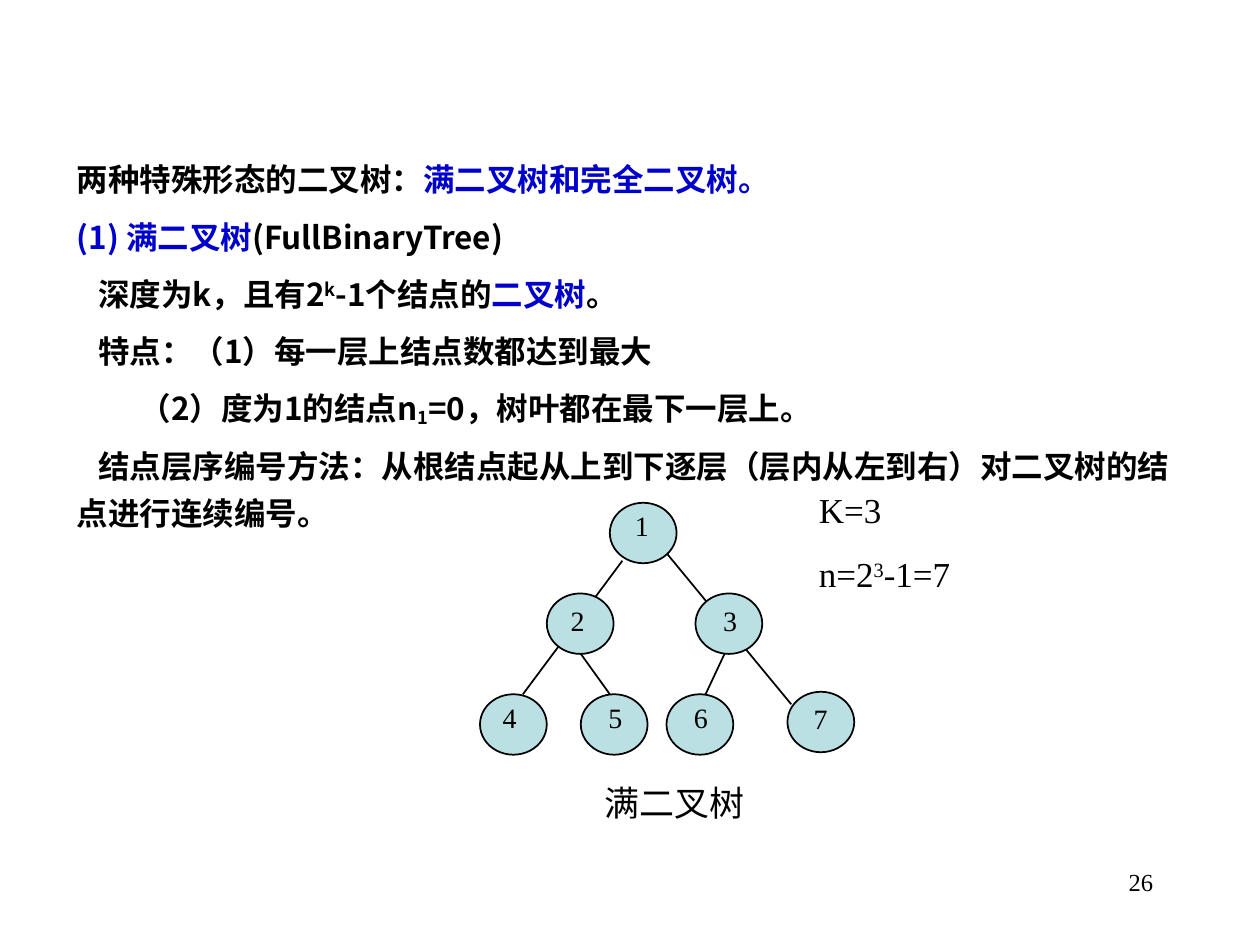
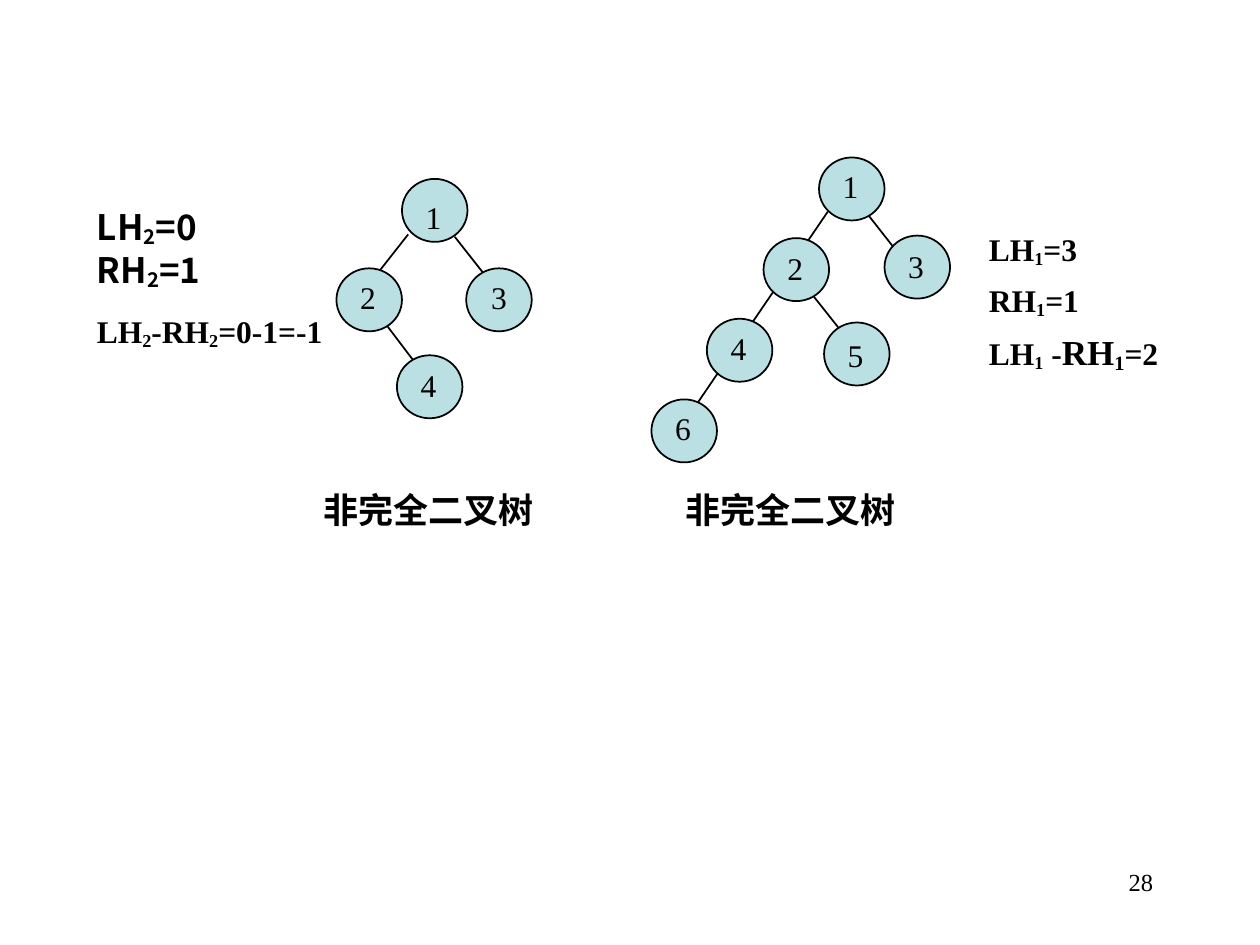
from lxml.etree import SubElement
from pptx import Presentation
from pptx.dml.color import RGBColor as Rgb
from pptx.enum.shapes import MSO_CONNECTOR as Link, MSO_SHAPE as Form
from pptx.enum.text import PP_ALIGN as Align
from pptx.oxml.ns import qn
from pptx.util import Inches, Pt

BLACK, BLUE, TEAL = "000000", "0000CC", "BBE0E3"
SERIF, SANS = "Times New Roman", "Noto Sans CJK SC"
SUP, SUB = {"base": 30}, {"base": -12}
BLUES = {"color": BLUE}


def tint(text):
    return Rgb.from_string(text)


def write(page, box, paras, size, before=0, lines=None, align=None, **base):
    """Add a text box; a paragraph is (indent, runs), a run is (text, style)."""
    frame = page.shapes.add_textbox(*map(Inches, box)).text_frame
    frame.word_wrap = True
    for i, (indent, runs) in enumerate(paras):
        para = frame.paragraphs[0] if i == 0 else frame.add_paragraph()
        para.space_before = Pt(before)
        para.line_spacing = lines
        para.alignment = align
        para._p.get_or_add_pPr().set("indent", str(Inches(indent)))
        for text, own in runs:
            style = {"size": size, "font": SERIF, "color": BLACK, "bold": False,
                     "base": 0} | base | own
            run = para.add_run()
            run.text = text
            run.font.size = Pt(style["size"])
            run.font.bold = style["bold"]
            run.font.color.rgb = tint(style["color"])
            run.font.name = style["font"]
            props = run._r.get_or_add_rPr()
            SubElement(props, qn("a:ea")).set("typeface", SANS)
            if style["base"]:
                props.set("baseline", str(style["base"] * 1000))


deck = Presentation()
deck.slide_width, deck.slide_height = Inches(10), Inches(7.5)
full, partial = [deck.slides.add_slide(deck.slide_layouts[6]) for _ in range(2)]

for page, number in ((full, "26"), (partial, "28")):
    write(page, (7.17, 6.83, 2.08, 0.5), [(0, [(number, {})])], 14, align=Align.RIGHT)

# Full binary tree: definition
write(full, (0.51, 1.15, 9, 3.13), [
    (0, [("两种特殊形态的二叉树：", {}), ("满二叉树和完全二叉树。", BLUES)]),
    (0, [("(1) ", BLUES), ("满二叉树", BLUES | {"font": SERIF}),
         ("(FullBinaryTree)", {})]),
    (0.17, [("深度为k，且有2", {}), ("k", SUP), ("-1个结点的", {}),
            ("二叉树", BLUES), ("。", {})]),
    (0.17, [("特点：（1）每一层上结点数都达到最大", {})]),
    (0.5, [("（2）度为1的结点n", {}), ("1", SUB),
           ("=0，树叶都在最下一层上。", {})]),
    (0.17, [("结点层序编号方法：从根结点起从上到下逐层"
             "（层内从左到右）对二叉树的结点进行连续编号。", {})]),
], 18, before=5.6, lines=1.25, font=SANS, bold=True)

# Trees: page, node size, label size and space before, edges, nodes.
# A node is number, left, top, label left, label top.
trees = [
    (full, (0.53, 0.48), 16, 10,
     [(5.29, 4.39, 6.28, 5.59), (4.94, 4.45, 4.15, 5.51),
      (4.61, 5.19, 4.84, 5.51), (5.75, 5.19, 5.6, 5.51)],
     [(1, 4.84, 3.99, 4.94, 3.99), (2, 4.34, 4.71, 4.43, 4.74),
      (3, 5.52, 4.71, 5.64, 4.74), (4, 3.81, 5.51, 3.89, 5.51),
      (5, 4.61, 5.51, 4.73, 5.51), (6, 5.29, 5.51, 5.41, 5.51),
      (7, 6.25, 5.49, 6.36, 5.52)]),
    (partial, (0.52, 0.5), 18, 11.2,
     [(6.44, 2.33, 6.67, 2.62), (6.87, 1.68, 7.09, 1.96),
      (6.57, 1.68, 5.46, 3.31)],
     [(1, 6.5, 1.25, 6.59, 1.28), (2, 6.06, 1.89, 6.15, 1.93),
      (3, 7.02, 1.87, 7.11, 1.91), (4, 5.61, 2.53, 5.7, 2.56),
      (5, 6.54, 2.56, 6.63, 2.62), (6, 5.17, 3.17, 5.26, 3.2)]),
    (partial, (0.52, 0.5), 18, 11.2,
     [(3.61, 1.88, 3.83, 2.16), (3.06, 2.57, 3.28, 2.86),
      (3.24, 1.86, 3.02, 2.14)],
     [(1, 3.19, 1.42, 3.28, 1.52), (2, 2.67, 2.13, 2.76, 2.16),
      (3, 3.7, 2.13, 3.8, 2.16), (4, 3.15, 2.82, 3.24, 2.86)]),
]
for page, span, size, before, edges, nodes in trees:
    for ends in edges:
        edge = page.shapes.add_connector(Link.STRAIGHT, *map(Inches, ends))
        edge.line.color.rgb = tint(BLACK)
        edge.line.width = Pt(1)
        SubElement(edge._element.spPr, qn("a:effectLst"))
    for number, left, top, x, y in nodes:
        node = page.shapes.add_shape(Form.OVAL, *map(Inches, (left, top, *span)))
        node.shadow.inherit = False
        node.fill.solid()
        node.fill.fore_color.rgb = tint(TEAL)
        node.line.color.rgb = tint(BLACK)
        node.line.width = Pt(1)
        write(page, (x, y, 0.37, 0.4), [(0, [(str(number), {})])], size, before)

# Captions under the trees
for page, left, top, text, bold in (
        (full, 4.7, 6.15, "满二叉树", False),
        (partial, 2.47, 3.83, "非完全二叉树", True),
        (partial, 5.34, 3.83, "非完全二叉树", True)):
    write(page, (left, top, 2.4, 0.44), [(0, [(text, {})])], 20, bold=bold)

# Depth and node count
write(full, (6.4, 3.83, 1.6, 0.94), [
    (0, [("K=3", {})]),
    (0, [("n=2", {}), ("3", SUP), ("-1=7", {})]),
], 20, before=12.5)

# Subtree heights
big = {"size": 20}
write(partial, (7.75, 1.83, 1.7, 1.18), [
    (0, [("LH", {}), ("1", SUB), ("=3", {})]),
    (0, [("RH", {}), ("1", SUB), ("=1", {})]),
    (0, [("LH", {}), ("1", SUB), (" -", {}), ("RH", big), ("1", SUB | big),
         ("=2", {})]),
], 18, before=11.2, lines=0.8, bold=True)
write(partial, (0.67, 1.58, 2.08, 0.8), [
    (0, [(side, {}), ("2", SUB), (value, {})])
    for side, value in (("LH", "=0"), ("RH", "=1"))
], 20, font=SANS, bold=True)
write(partial, (0.67, 2.43, 2.08, 0.4), [
    (0, [("LH", {}), ("2", SUB), ("-RH", {}), ("2", SUB), ("=0-1=-1", {})]),
], 18, bold=True)

deck.save("out.pptx")
